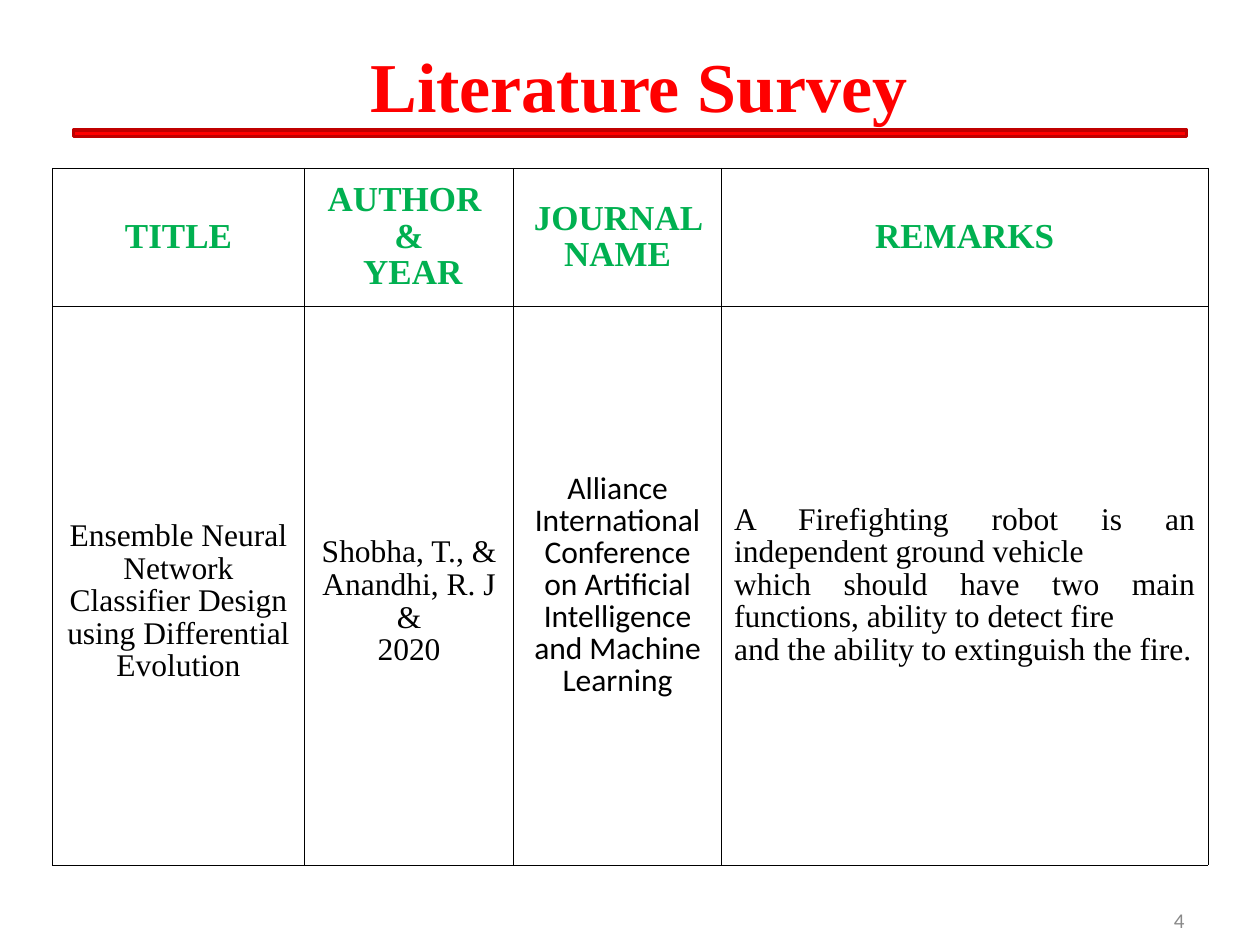
from dataclasses import dataclass
from pptx import Presentation
from pptx.dml.color import RGBColor as Rgb
from pptx.enum.shapes import MSO_SHAPE as Form
from pptx.enum.text import MSO_ANCHOR as Anchor, MSO_AUTO_SIZE as Fit, PP_ALIGN as Align
from pptx.oxml import parse_xml
from pptx.oxml.ns import nsdecls
from pptx.util import Inches, Pt


@dataclass(frozen=True)
class Theme:
    red: str = "FF0000"
    edge: str = "C00000"
    green: str = "00B050"
    ink: str = "000000"
    gray: str = "898989"
    serif: str = "Times New Roman"
    sans: str = "Calibri"
    title: int = 40
    head: int = 20
    body: int = 18
    note: int = 12
    rule: float = 0.23


class Deck:
    cols, rows = 120, 90  # grid of 1/12 inch units

    def __init__(self, theme):
        self.theme = theme
        self.show = Presentation()
        self.show.slide_width, self.show.slide_height = Inches(10), Inches(7.5)
        self.slide = self.show.slides.add_slide(self.show.slide_layouts[5])

    def box(self, x, y, w, h):
        """Turn grid columns and rows into lengths."""
        dx = self.show.slide_width / self.cols
        dy = self.show.slide_height / self.rows
        return [int(n * d) for n, d in zip((x, y, w, h), (dx, dy, dx, dy))]

    def text(self, frame, lines, size, color, font, align=Align.CENTER,
             bold=False, lead=1.0):
        frame.word_wrap = True
        for i, line in enumerate(lines):
            para = frame.paragraphs[0] if i == 0 else frame.add_paragraph()
            para.alignment, para.line_spacing = align, lead
            para.space_before = para.space_after = Pt(0.1)
            run = para.add_run()
            run.text = line
            run.font.size, run.font.name, run.font.bold = Pt(size), font, bold
            run.font.color.rgb = Rgb.from_string(color)

    def title(self, text, spot):
        t, shape = self.theme, self.slide.shapes.title
        shape.left, shape.top, shape.width, shape.height = self.box(*spot)
        frame = shape.text_frame
        frame.auto_size, frame.vertical_anchor = Fit.NONE, Anchor.MIDDLE
        frame.margin_left = Inches(0.24)  # nudges the centre to the right
        self.text(frame, [text], t.title, t.red, t.serif, bold=True)

    def bar(self, spot):
        shape = self.slide.shapes.add_shape(Form.RECTANGLE, *self.box(*spot))
        shape.shadow.inherit = False
        shape.fill.solid()
        shape.fill.fore_color.rgb = Rgb.from_string(self.theme.red)
        shape.line.color.rgb = Rgb.from_string(self.theme.edge)
        shape.line.width = Pt(2)

    def note(self, text, spot):
        t = self.theme
        frame = self.slide.shapes.add_textbox(*self.box(*spot)).text_frame
        frame.vertical_anchor = Anchor.MIDDLE
        self.text(frame, [text], t.note, t.gray, t.sans, Align.RIGHT)

    def edges(self, cell):
        props = cell._tc.get_or_add_tcPr()
        for side in "LRTB":
            props.append(parse_xml(
                f'<a:ln{side} {nsdecls("a")} w="{Pt(self.theme.rule)}"><a:solidFill>'
                f'<a:srgbClr val="{self.theme.ink}"/></a:solidFill></a:ln{side}>'))

    def table(self, spot, wide, high, heads, cells):
        t = self.theme
        grid = self.slide.shapes.add_table(
            2, len(wide), *self.box(*spot)).table
        grid.first_row = grid.horz_banding = False
        for col, w in zip(grid.columns, wide):
            col.width = Inches(w)
        for row, h in zip(grid.rows, high):
            row.height = Inches(h)
        for cell in grid.iter_cells():
            self.edges(cell)
            cell.fill.background()
            cell.vertical_anchor = Anchor.MIDDLE
        for i, (head, (lines, style, drop)) in enumerate(zip(heads, cells)):
            self.text(grid.cell(0, i).text_frame, head, t.head, t.green,
                      t.serif, bold=True, lead=0.93)
            cell = grid.cell(1, i)
            cell.margin_top = Inches(0.05 + drop)
            look = {"font": t.serif, "lead": 0.93, **style}
            self.text(cell.text_frame, lines, t.body, t.ink, **look)


def main():
    theme = Theme()
    deck = Deck(theme)

    # Heading and rule
    deck.title("Literature Survey", (6, 0, 108, 16))
    deck.bar((7, 12.4, 106, 0.6))

    # Survey table: header row, then lines, style and extra top gap per cell
    heads = [["TITLE"], ["AUTHOR ", "&", " YEAR"], ["JOURNAL NAME"], ["REMARKS"]]
    gap = 0.26
    cells = [
        (["Ensemble Neural Network",
          "Classifier Design using Differential Evolution"], {}, gap),
        (["Shobha, T., & Anandhi, R. J", "&", "2020"], {}, gap),
        (["Alliance International",
          "Conference on Artificial Intelligence and Machine Learning"],
         {"font": theme.sans, "lead": 0.83}, 0),
        (["A Firefighting robot is an independent ground vehicle",
          "which should have two main functions, ability to detect fire",
          "and the ability to extinguish the fire."],
         {"align": Align.JUSTIFY}, 0),
    ]
    deck.table((5, 16, 110, 66.4), (2, 1.66, 1.65, 3.86), (1.1, 4.43), heads, cells)

    # Slide number
    deck.note("4", (86, 85.2, 28, 4.8))

    deck.show.save("out.pptx")


if __name__ == "__main__":
    main()
